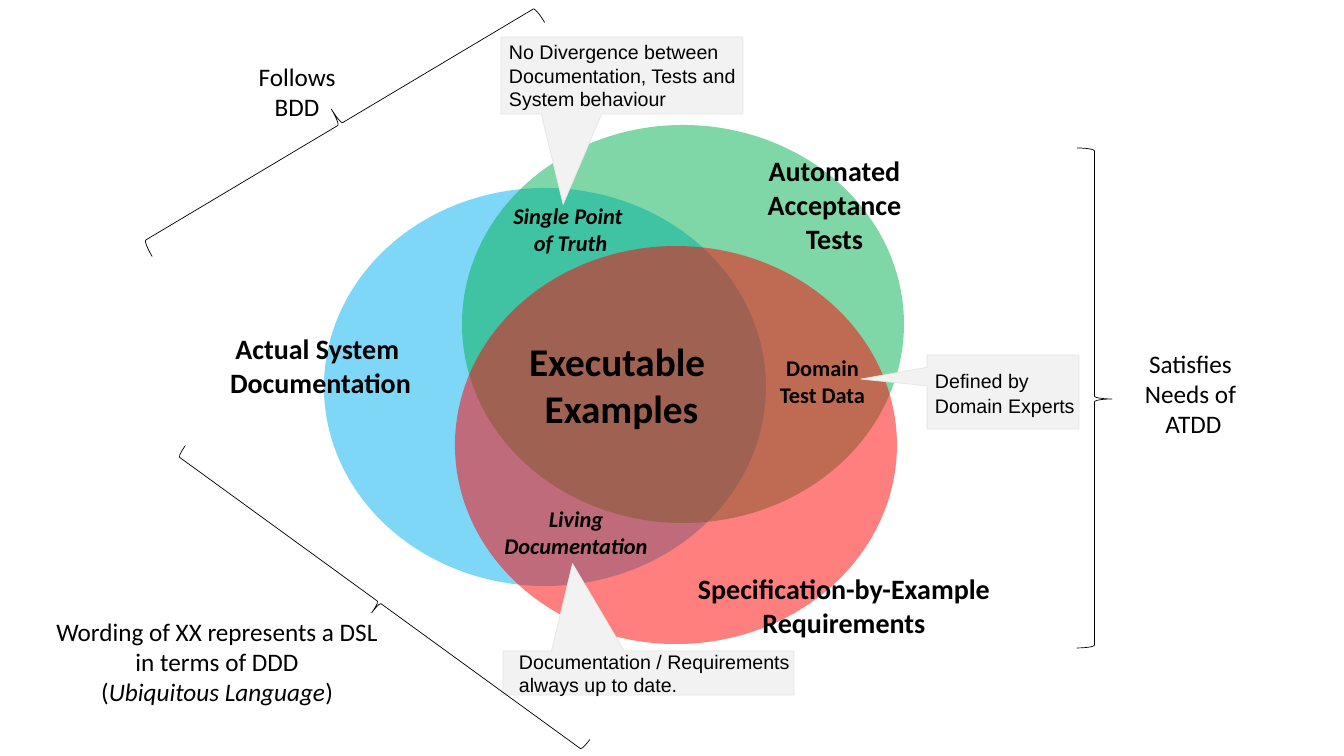
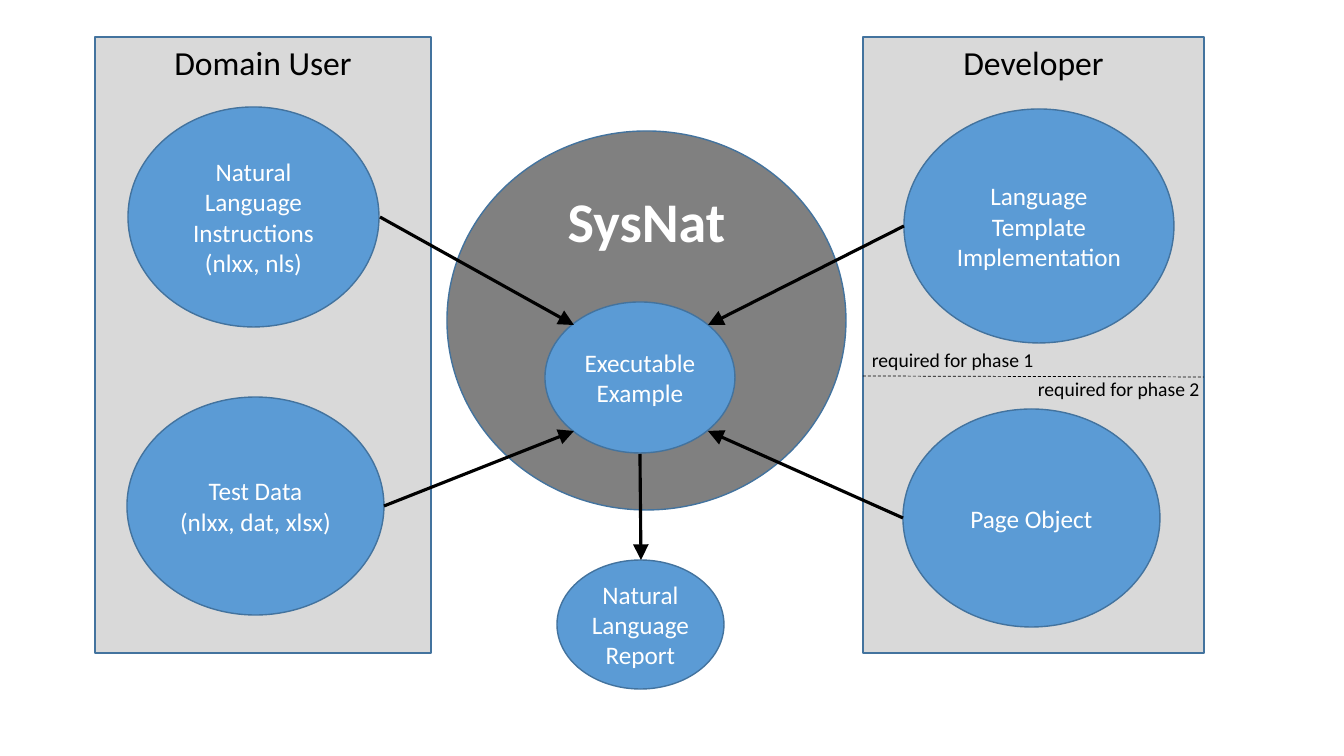
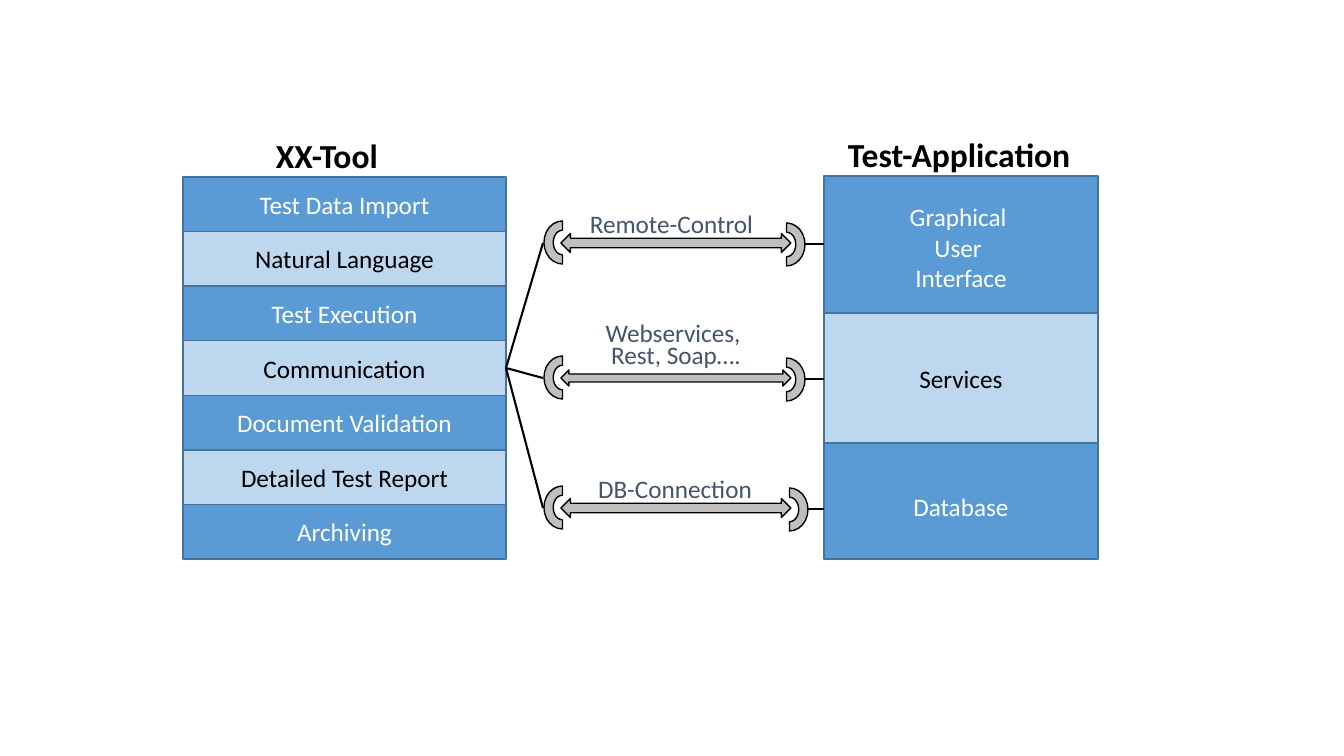
from dataclasses import dataclass

from lxml.etree import SubElement
from pptx import Presentation
from pptx.dml.color import RGBColor
from pptx.enum.dml import MSO_LINE
from pptx.enum.shapes import MSO_CONNECTOR, MSO_SHAPE
from pptx.enum.text import MSO_ANCHOR, MSO_AUTO_SIZE, PP_ALIGN
from pptx.oxml.ns import qn
from pptx.util import Pt

PX = 914400 / 100.8


@dataclass(frozen=True)
class Theme:
    black: str = "000000"
    white: str = "FFFFFF"
    slate: str = "44546A"
    blue: str = "5B9BD5"
    pale_blue: str = "BDD7EE"
    edge: str = "43739E"
    panel: str = "D9D9D9"
    core: str = "808080"
    link: str = "BFBFBF"
    callout: str = "F2F2F2"
    callout_edge: str = "E7E6E6"
    documentation: str = "00B0F0"
    tests: str = "00B050"
    requirements: str = "FF0000"
    font: str = "Calibri"
    callout_font: str = "Arial"
    small: int = 14
    overlap: int = 16
    body: int = 18
    topic: int = 20
    heading: int = 24
    focus: int = 28
    display: int = 40
    hairline: float = 0.5
    outline: float = 1
    spoke: float = 1.5
    arrow: float = 2.25


THEME = Theme()
BOLD = {"bold": True}
BOLD_ITALIC = {"bold": True, "italic": True}
LEFT = {"alignment": PP_ALIGN.LEFT}
TOP = {"vertical_anchor": MSO_ANCHOR.TOP}


def draw(slide, preset, box, fill=None, edge=None, width=THEME.outline, adjust=()):
    """Add a preset shape, or a self-sizing text box when preset is None; box is in px."""
    place = [round(length * PX) for length in box]
    if preset is None:
        label = slide.shapes.add_textbox(*place)
        label.text_frame.word_wrap = False
        label.text_frame.auto_size = MSO_AUTO_SIZE.SHAPE_TO_FIT_TEXT
        return label
    shape = slide.shapes.add_shape(preset, *place)
    shape.shadow.inherit = False
    for index, value in enumerate(adjust):
        shape.adjustments[index] = value
    for part, color in ((shape.fill, fill), (shape.line.fill, edge)):
        if color:
            part.solid()
            part.fore_color.rgb = RGBColor.from_string(color)
        else:
            part.background()
    if edge:
        shape.line.width = Pt(width)
    return shape


def write(shape, text, size=THEME.body, color=THEME.black, font=None, frame=None, paragraph=None):
    """Fill a shape with one paragraph per line; words between asterisks are italic."""
    text_frame = shape.text_frame
    for name, value in (frame or {}).items():
        setattr(text_frame, name, value)
    for number, line in enumerate(text.split("\n")):
        target = text_frame.add_paragraph() if number else text_frame.paragraphs[0]
        for name, value in ({"alignment": PP_ALIGN.CENTER} | (paragraph or {})).items():
            setattr(target, name, value)
        for turn, words in enumerate(line.split("*")):
            run = target.add_run()
            run.text = words
            run.font.color.rgb = RGBColor.from_string(color)
            look = {"name": THEME.font, "size": Pt(size)} | (font or {})
            if turn % 2:
                look["italic"] = True
            for name, value in look.items():
                setattr(run.font, name, value)


deck = Presentation()
deck.slide_width, deck.slide_height = round(1344 * PX), round(756 * PX)
venn, roles, links = [deck.slides.add_slide(deck.slide_layouts[6]) for _ in range(3)]
connectors = []

# Overlapping circles
for left, top, color in (
    (324, 188, THEME.documentation),
    (462, 125, THEME.tests),
    (455, 246, THEME.requirements),
):
    circle = draw(venn, MSO_SHAPE.OVAL, (left, top, 442, 398), color)
    tint = circle.fill._xPr.find(qn("a:solidFill"))[0]
    SubElement(tint, qn("a:alpha")).set("val", "50000")

for box, text, size, font in (
    ((743, 149, 183, 112), "Automated\nAcceptance\nTests", THEME.topic, BOLD),
    ((484, 500, 184, 65), "Living\nDocumentation", THEME.overlap, BOLD_ITALIC),
    ((662, 567, 364, 78), "Specification-by-Example\nRequirements", THEME.topic, BOLD),
    ((501, 332, 241, 105), "Executable \nExamples", THEME.focus, BOLD),
    ((762, 349, 121, 65), "Domain\nTest Data", THEME.overlap, BOLD),
    ((219, 327, 203, 78), "Actual System \nDocumentation", THEME.topic, BOLD),
    ((492, 197, 157, 65), "Single Point \nof Truth", THEME.overlap, BOLD_ITALIC),
    ((1134, 343, 113, 102), "Satisfies\nNeeds of\n ATDD", THEME.body, None),
    (
        (44, 611, 346, 102),
        "Wording of XX represents a DSL\nin terms of DDD\n(*Ubiquitous Language*)",
        THEME.body,
        None,
    ),
    ((248, 56, 98, 72), "Follows\nBDD", THEME.body, None),
):
    write(draw(venn, None, box), text, size, font=font)

for box, pointer, inset, spacing, text in (
    (
        (501, 37, 242, 77), (-0.243, 1.674), 8, {},
        "No Divergence between\nDocumentation, Tests and\nSystem behaviour",
    ),
    (
        (927, 355, 152, 74), (-0.935, -0.174), 8, {"line_spacing": Pt(18)},
        "Defined by\nDomain Experts",
    ),
    (
        (503, 651, 291, 44), (-0.261, -2.487), 16, {},
        "Documentation / Requirements\nalways up to date.",
    ),
):
    callout = draw(venn, MSO_SHAPE.RECTANGULAR_CALLOUT, box, THEME.callout,
                   THEME.callout_edge, THEME.hairline, pointer)
    insets = {f"margin_{side}": round(inset * PX) for side in ("left", "top", "right", "bottom")}
    write(callout, text, THEME.small, font={"name": THEME.callout_font},
          frame=insets | {"word_wrap": False}, paragraph=LEFT | spacing)

for box, angle in (
    ((1077, 148, 35, 500), 0),
    ((367, 353, 26, 500), 126),
    ((322, -104, 35, 457), 239.2),
):
    brace = draw(venn, MSO_SHAPE.RIGHT_BRACE, box, None, THEME.black, THEME.hairline, (0.083, 0.502))
    brace.rotation = angle

# Roles around the core
core = draw(roles, MSO_SHAPE.OVAL, (447, 131, 399, 379), THEME.core, THEME.edge)
write(core, "SysNat", THEME.display, THEME.white, BOLD, TOP | {"margin_top": 0})

for left, width, role in ((95, 336, "Domain User"), (863, 341, "Developer")):
    panel = draw(roles, MSO_SHAPE.RECTANGLE, (left, 37, width, 616), THEME.panel, THEME.edge)
    write(panel, role, THEME.heading, frame=TOP)

for box, text in (
    ((545, 302, 190, 151), "Executable\nExample"),
    ((128, 107, 251, 220), "Natural\nLanguage\nInstructions\n(nlxx, nls)"),
    ((127, 397, 257, 218), "Test Data\n(nlxx, dat, xlsx)"),
    ((904, 109, 270, 234), "Language\nTemplate\nImplementation"),
    ((903, 409, 257, 218), "Page Object"),
    ((557, 560, 167, 129), "Natural\nLanguage\nReport"),
):
    write(draw(roles, MSO_SHAPE.OVAL, box, THEME.blue, THEME.edge), text, color=THEME.white)

for left, top, phase in ((862, 343, 1), (1028, 372, 2)):
    phase_label = draw(roles, None, (left, top, 183, 34))
    write(phase_label, f"required for phase {phase}", THEME.small, paragraph=LEFT)

for start, end in (
    ((380, 217), (574, 325)),
    ((904, 226), (708, 325)),
    ((384, 506), (574, 431)),
    ((903, 518), (708, 431)),
    ((640, 454), (641, 560)),
):
    connectors.append((roles, start, end, THEME.arrow))
connectors.append((roles, (863, 376), (1204, 377), THEME.hairline))

# Tool modules linked to the application layers
for box, text in (((266, 130, 127, 50), "XX-Tool"), ((838, 129, 290, 50), "Test-Application")):
    write(draw(links, None, box), text, THEME.heading, font=BOLD, paragraph=LEFT)

module_names = (
    "Test Data Import", "Natural Language", "Test Execution", "Communication",
    "Document Validation", "Detailed Test Report", "Archiving",
)
module_height = 382 / len(module_names)
modules = [
    ((183, 177 + module_height * row, 323, module_height), name, 5)
    for row, name in enumerate(module_names)
]
layers = [
    ((824, 176, 274, 142), "Graphical \nUser \nInterface", 5),
    ((824, 313, 274, 130), "Services", 5),
    ((824, 443, 274, 116), "Database", 15),
]
for stack in (modules, layers):
    for row, (box, text, inset) in enumerate(stack):
        fill, color = ((THEME.blue, THEME.white), (THEME.pale_blue, THEME.black))[row % 2]
        block = draw(links, MSO_SHAPE.RECTANGLE, box, fill, THEME.edge)
        write(block, text, color=color, frame={"margin_top": round(inset * PX)})

for middle, thickness, far_left, label_box, text, spacing in (
    (243, 19, 765, (579, 203, 185, 40), "Remote-Control", {}),
    (378, 16, 765, (561, 320, 230, 56), "Webservices, \nRest, Soap….", {"line_spacing": Pt(16)}),
    (508, 19, 768, (587, 468, 176, 40), "DB-Connection", {}),
):
    for left, top, angle in ((541, middle - 19, 270), (far_left, middle - 17, 90)):
        socket = draw(links, MSO_SHAPE.BLOCK_ARC, (left, top, 43, 37), THEME.link, THEME.black)
        socket.rotation = angle
    draw(links, MSO_SHAPE.LEFT_RIGHT_ARROW, (561, middle - thickness / 2, 230, thickness),
         THEME.link, THEME.black)
    write(draw(links, None, label_box), text, color=THEME.slate, paragraph=spacing)
    connectors.append((links, (506, 368), (543, middle), THEME.spoke))
    connectors.append((links, (far_left + 40, middle + 1), (824, middle + 1), THEME.spoke))

for slide, start, end, width in connectors:
    ends = [round(length * PX) for length in start + end]
    connector = slide.shapes.add_connector(MSO_CONNECTOR.STRAIGHT, *ends)
    connector.line.color.rgb = RGBColor.from_string(THEME.black)
    connector.line.width = Pt(width)
    if width == THEME.hairline:
        connector.line.dash_style = MSO_LINE.DASH
    properties = connector._element.spPr
    if width == THEME.arrow:
        arrowhead = SubElement(properties.find(qn("a:ln")), qn("a:tailEnd"))
        for name, value in {"type": "triangle", "w": "lg", "len": "lg"}.items():
            arrowhead.set(name, value)
    SubElement(properties, qn("a:effectLst"))

deck.save("out.pptx")
